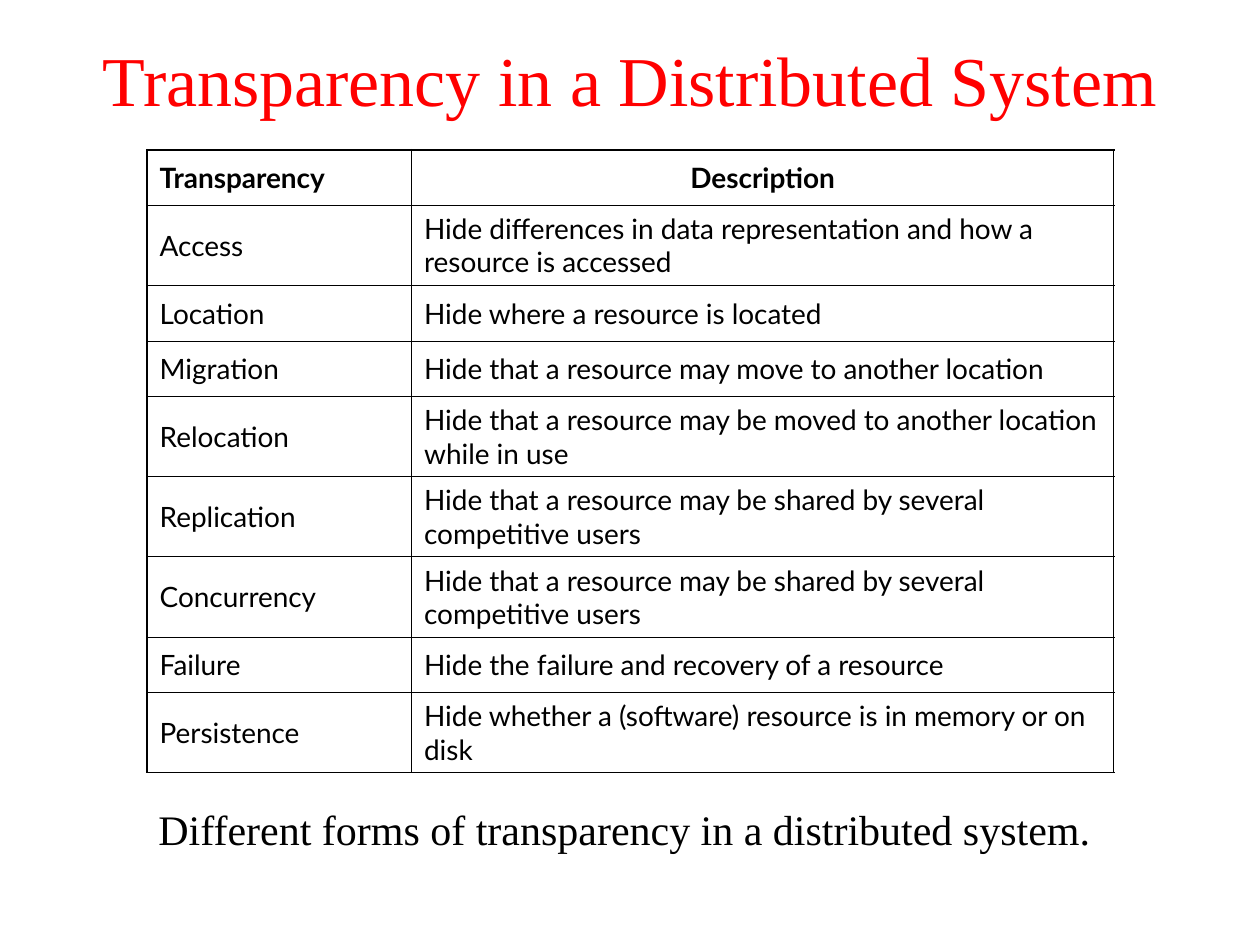
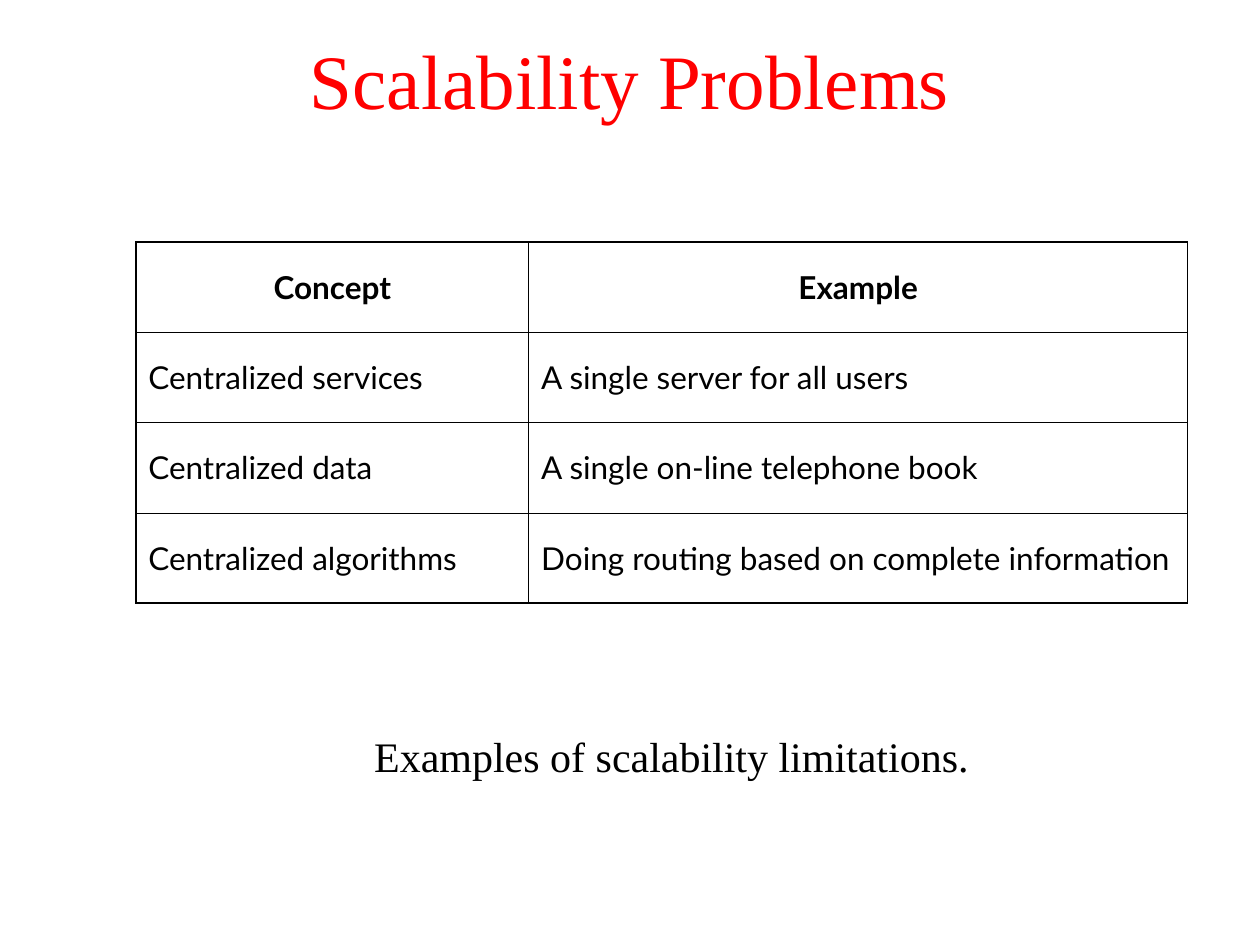
import pptx
import pptx.util
import pptx.dml.color
import pptx.enum.text
import pptx.oxml
import pptx.oxml.ns

Cm, Pt = pptx.util.Cm, pptx.util.Pt
ALIGN = pptx.enum.text.PP_ALIGN
MIDDLE = pptx.enum.text.MSO_ANCHOR.MIDDLE

RED = pptx.dml.color.RGBColor(0xFF, 0x00, 0x00)
BLACK = pptx.dml.color.RGBColor(0x00, 0x00, 0x00)
WHITE = pptx.dml.color.RGBColor(0xFF, 0xFF, 0xFF)
SERIF, SANS = "Times New Roman", "Lato"
OUTER, INNER = 1.08, 0.45
SLIDE_WIDTH, SLIDE_HEIGHT = Cm(25.4), Cm(19.05)
TITLE_HEIGHT = Cm(3.18)
CAPTION_HEIGHT = Cm(1.27)
SHORT_ROW, TALL_ROW, EVEN_ROW = 1.12, 1.61, 1.82

SLIDES = [
    {
        "title": "Transparency in a Distributed System",
        "title_size": 40,
        "caption": "Different forms of transparency in a distributed system.",
        "caption_at": (0.84, 16.08, 23.5),
        "table_at": (2.97, 3.02),
        "columns": (5.33, 14.15),
        "heights": [SHORT_ROW, TALL_ROW, SHORT_ROW, SHORT_ROW, TALL_ROW,
                    TALL_ROW, TALL_ROW, SHORT_ROW, TALL_ROW],
        "text_size": 16,
        "header_aligns": (ALIGN.LEFT, ALIGN.CENTER),
        "rows": [
            ("Transparency", "Description"),
            ("Access", "Hide differences in data representation and how a resource is accessed"),
            ("Location", "Hide where a resource is located"),
            ("Migration", "Hide that a resource may move to another location"),
            ("Relocation", "Hide that a resource may be moved to another location while in use"),
            ("Replication", "Hide that a resource may be shared by several competitive users"),
            ("Concurrency", "Hide that a resource may be shared by several competitive users"),
            ("Failure", "Hide the failure and recovery of a resource"),
            ("Persistence", "Hide whether a (software) resource is in memory or on disk"),
        ],
    },
    {
        "title": "Scalability Problems",
        "title_size": 44,
        "caption": "Examples of scalability limitations.",
        "caption_at": (3.38, 14.6, 20.32),
        "table_at": (2.74, 4.88),
        "columns": (7.92, 13.28),
        "heights": [EVEN_ROW] * 4,
        "text_size": 18,
        "header_aligns": (ALIGN.CENTER, ALIGN.CENTER),
        "rows": [
            ("Concept", "Example"),
            ("Centralized services", "A single server for all users"),
            ("Centralized data", "A single on-line telephone book"),
            ("Centralized algorithms", "Doing routing based on complete information"),
        ],
    },
]


def apply(target, values):
    for attribute, value in values.items():
        setattr(target, attribute, value)


def write(frame, text, size, font, color, align, before=0, bold=False):
    frame.text = text
    paragraph = frame.paragraphs[0]
    apply(paragraph, {"alignment": align, "space_before": Pt(before)})
    letters = paragraph.runs[0].font
    apply(letters, {"size": Pt(size), "name": font, "bold": bold})
    letters.color.rgb = color


def add_borders(cell, widths):
    properties = cell._tc.get_or_add_tcPr()
    for position, (side, width) in enumerate(widths.items()):
        border = pptx.oxml.parse_xml(
            f'<a:ln{side} {pptx.oxml.ns.nsdecls("a")} w="{int(Pt(width))}">'
            f'<a:solidFill><a:srgbClr val="{BLACK}"/></a:solidFill></a:ln{side}>')
        properties.insert(position, border)


def add_title(slide, content):
    title = slide.shapes.title
    apply(title, {"left": 0, "top": 0, "width": SLIDE_WIDTH, "height": TITLE_HEIGHT})
    apply(title.text_frame, {"vertical_anchor": MIDDLE, "word_wrap": True,
                             "auto_size": pptx.enum.text.MSO_AUTO_SIZE.NONE})
    write(title.text_frame, content["title"], content["title_size"], SERIF, RED, ALIGN.CENTER)


def add_caption(slide, content):
    left, top, width = map(Cm, content["caption_at"])
    caption = slide.shapes.add_textbox(left, top, width, CAPTION_HEIGHT).text_frame
    apply(caption, {"word_wrap": True,
                    "auto_size": pptx.enum.text.MSO_AUTO_SIZE.SHAPE_TO_FIT_TEXT})
    write(caption, content["caption"], 24, SERIF, BLACK, ALIGN.CENTER, before=15)


def add_grid(slide, content):
    rows, columns, heights = content["rows"], content["columns"], content["heights"]
    left, top = map(Cm, content["table_at"])
    grid = slide.shapes.add_table(len(rows), len(columns), left, top,
                                  Cm(sum(columns)), Cm(sum(heights))).table
    apply(grid, {"first_row": False, "horz_banding": False})
    for column, width in zip(grid.columns, columns):
        column.width = Cm(width)
    for row, height in zip(grid.rows, heights):
        row.height = Cm(height)

    size = content["text_size"]
    last_row, last_column = len(rows) - 1, len(columns) - 1
    for r, texts in enumerate(rows):
        for c, text in enumerate(texts):
            header = r == 0
            align = content["header_aligns"][c] if header else ALIGN.LEFT
            cell = grid.cell(r, c)
            apply(cell, {"vertical_anchor": MIDDLE,
                         "margin_left": Cm(0.25), "margin_right": Cm(0.25),
                         "margin_top": Cm(0.13), "margin_bottom": Cm(0.13)})
            cell.fill.solid()
            cell.fill.fore_color.rgb = WHITE
            write(cell.text_frame, text, size, SANS, BLACK, align, before=size / 4, bold=header)
            edges = {"L": c == 0, "R": c == last_column, "T": header, "B": r == last_row}
            add_borders(cell, {side: OUTER if edge else INNER for side, edge in edges.items()})


def main():
    deck = pptx.Presentation()
    apply(deck, {"slide_width": SLIDE_WIDTH, "slide_height": SLIDE_HEIGHT})
    title_only = deck.slide_layouts.get_by_name("Title Only")
    for content in SLIDES:
        slide = deck.slides.add_slide(title_only)
        for add_part in (add_title, add_caption, add_grid):
            add_part(slide, content)
    deck.save("out.pptx")


if __name__ == "__main__":
    main()
